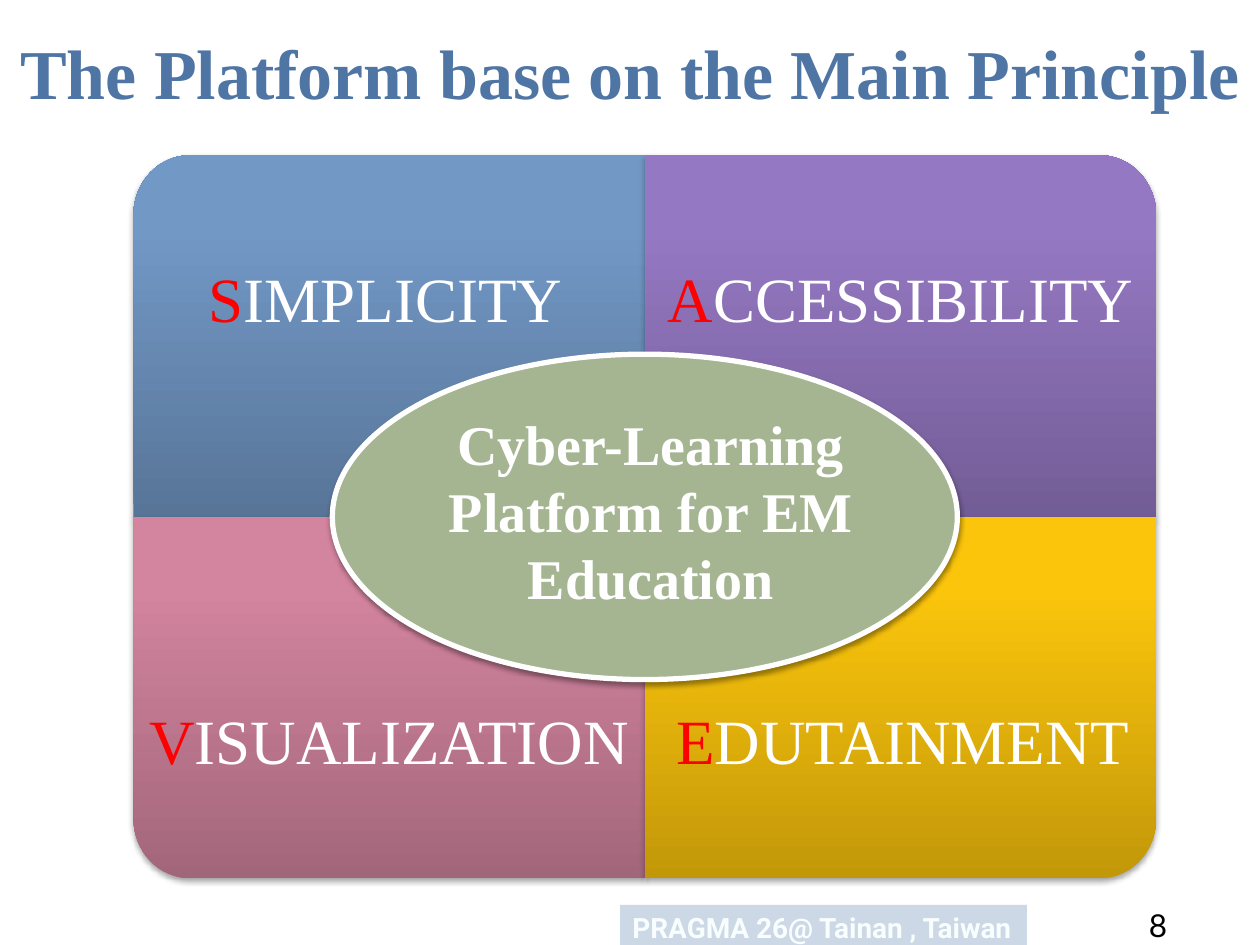
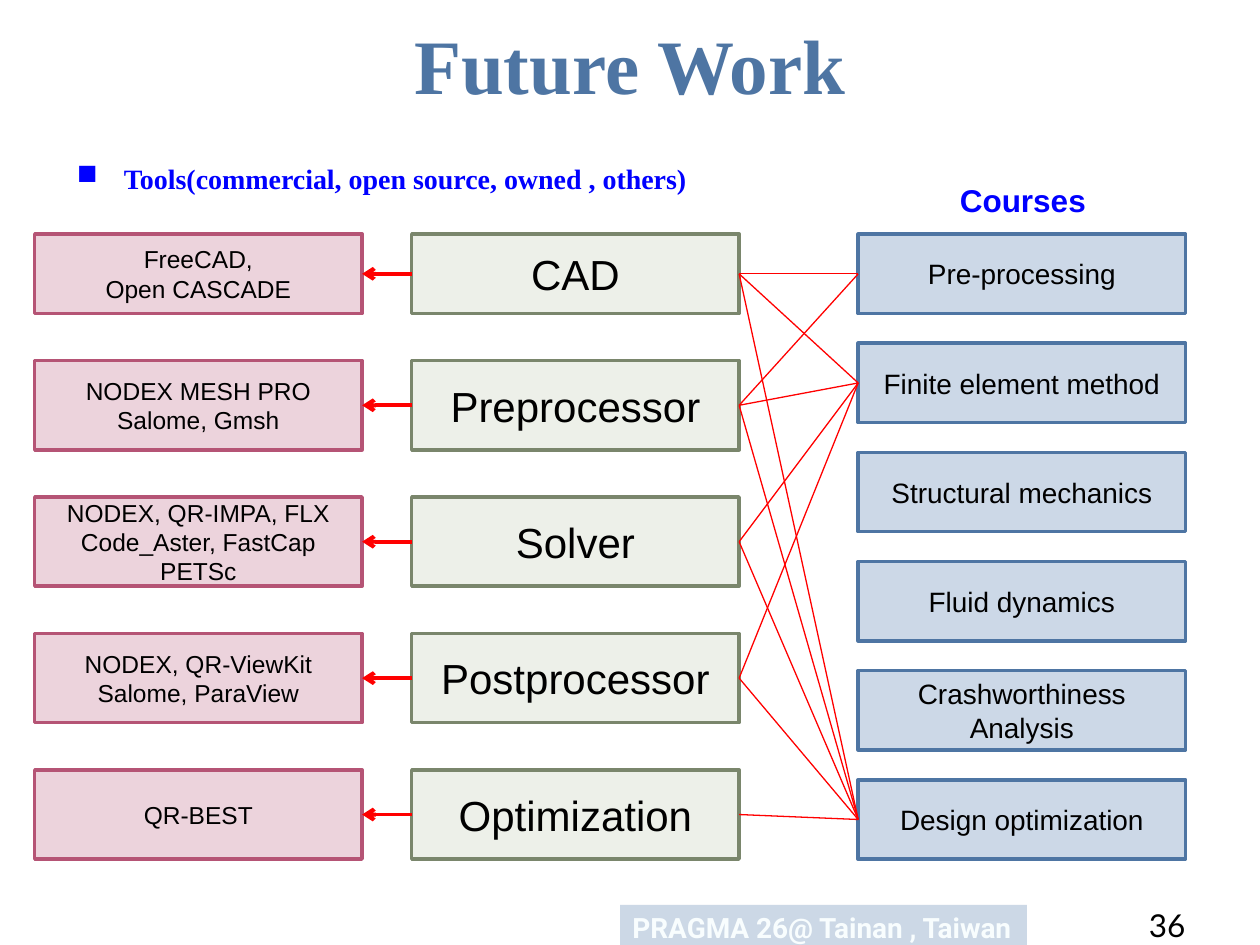
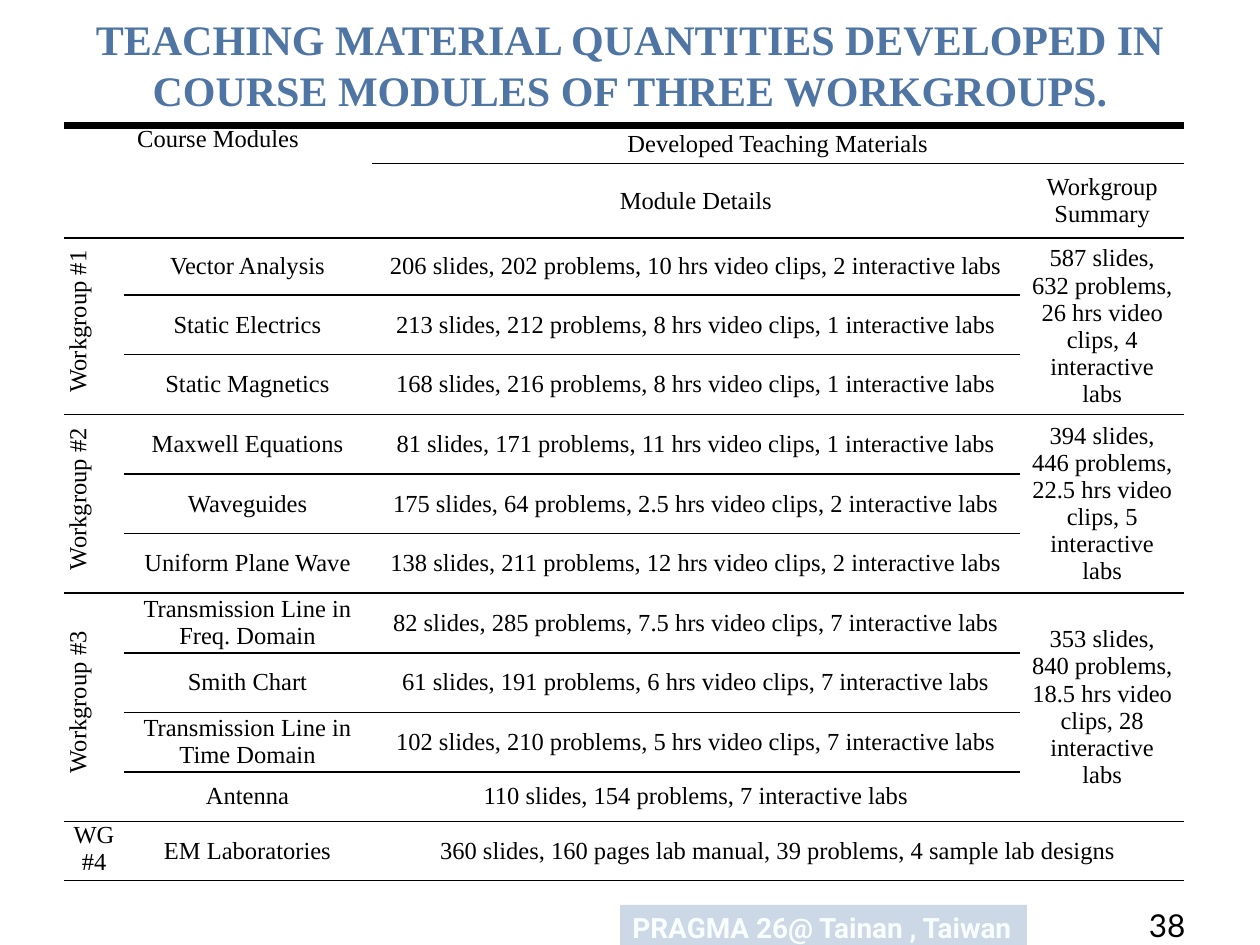
import math
from dataclasses import dataclass

from lxml import etree
from pptx import Presentation
from pptx import util as u
from pptx.dml.color import RGBColor
from pptx.enum import shapes, text
from pptx.oxml.ns import qn

Cm, Pt = u.Cm, u.Pt
CENTER, LEFT = text.PP_ALIGN.CENTER, text.PP_ALIGN.LEFT
MIDDLE, TOP = text.MSO_ANCHOR.MIDDLE, text.MSO_ANCHOR.TOP
LEFT_SITE, RIGHT_SITE = 1, 3


@dataclass(frozen=True)
class Theme:
    serif: str = "Times New Roman"
    sans: str = "Arial"
    footer_font: str = "Roboto"
    number_font: str = "Lato"

    black: str = "000000"
    white: str = "FFFFFF"
    red: str = "FF0000"
    blue: str = "0000FF"
    title: str = "4E75A3"
    band: str = "B3C5DA"
    band_text: str = "F8FDFE"
    oval: str = "A5B592"
    product: tuple = ("ECD3DC", "B55475")
    stage: tuple = ("EDF0E9", "7A866C")
    course: tuple = ("CCD8E7", "4E75A3")

    long_title: int = 40
    short_title: int = 44
    table_title: int = 24
    principle: int = 36
    core: int = 32
    stage_size: int = 24
    label: int = 18
    body: int = 16
    small: int = 14


THEME = Theme()

# word, horizontal and vertical direction from the centre, gradient (bottom, top),
# left edge, top edge and width of the label
PRINCIPLES = [
    ("SIMPLICITY", -1, -1, ("587598", "7298C6"), 3.66, 5.1, 8.23),
    ("ACCESSIBILITY", 1, -1, ("735D96", "9578C3"), 13, 5.1, 10.31),
    ("VISUALIZATION", -1, 1, ("A2667A", "D3849F"), 2.69, 14.02, 10.31),
    ("EDUTAINMENT", 1, 1, ("C29809", "FBC50C"), 13.1, 14.02, 10.2),
]

STAGES = [
    ("CAD", ["FreeCAD,", "Open CASCADE"]),
    ("Preprocessor", ["NODEX MESH PRO", "Salome, Gmsh"]),
    ("Solver", ["NODEX, QR-IMPA, FLX", "Code_Aster, FastCap", "PETSc"]),
    ("Postprocessor", ["NODEX, QR-ViewKit", "Salome, ParaView"]),
    ("Optimization", ["QR-BEST"]),
]

# course and the indexes of the stages it uses
COURSES = [
    ("Pre-processing", [0, 1]),
    ("Finite element method", [0, 1, 2, 3]),
    ("Structural mechanics", []),
    ("Fluid dynamics", []),
    ("Crashworthiness Analysis", []),
    ("Design optimization", [0, 1, 2, 3, 4]),
]

WORKGROUPS = [
    ("Workgroup #1", "587 slides, 632 problems, 26 hrs video clips, 4 interactive labs", [
        ("Vector Analysis", "206 slides, 202 problems, 10 hrs video clips, 2 interactive labs"),
        ("Static Electrics", "213 slides, 212 problems, 8 hrs video clips, 1 interactive labs"),
        ("Static Magnetics", "168 slides, 216 problems, 8 hrs video clips, 1 interactive labs"),
    ]),
    ("Workgroup #2", "394 slides, 446 problems, 22.5 hrs video clips, 5 interactive labs", [
        ("Maxwell Equations", "81 slides, 171 problems, 11 hrs video clips, 1 interactive labs"),
        ("Waveguides", "175 slides, 64 problems, 2.5 hrs video clips, 2 interactive labs"),
        ("Uniform Plane Wave", "138 slides, 211 problems, 12 hrs video clips, 2 interactive labs"),
    ]),
    ("Workgroup #3", "353 slides, 840 problems, 18.5 hrs video clips, 28 interactive labs", [
        ("Transmission Line in Freq. Domain",
         "82 slides, 285 problems, 7.5 hrs video clips, 7 interactive labs"),
        ("Smith Chart", "61 slides, 191 problems, 6 hrs video clips, 7 interactive labs"),
        ("Transmission Line in Time Domain",
         "102 slides, 210 problems, 5 hrs video clips, 7 interactive labs"),
        ("Antenna", "110 slides, 154 problems, 7 interactive labs"),
    ]),
]
COLUMN_WIDTHS = [1.19, 5, 13.08, 3.3]
ROW_HEIGHTS = [0.77, 1.5, 1.15, 1.2, 1, 1.2, 1.2, 1.2, 1.2, 1.2, 1.2, 1, 1.12]


def rgb(code):
    return RGBColor.from_string(code)


def set_values(target, values):
    for name, value in values.items():
        setattr(target, name, value)


def write(frame, paragraphs, size, font, color=THEME.black, bold=False, align=CENTER):
    """Fill a text frame; a paragraph is a string or a list of (string, colour)."""
    for index, content in enumerate(paragraphs):
        para = frame.add_paragraph() if index else frame.paragraphs[0]
        para.alignment = align
        spans = [(content, color)] if isinstance(content, str) else content
        for words, span_color in spans:
            span = para.add_run()
            span.text = words
            set_values(span.font, {"size": Pt(size), "name": font, "bold": bold})
            span.font.color.rgb = rgb(span_color)


def add_text(page, left, top, width, height, paragraphs, size, font,
             anchor=TOP, wrap=True, **style):
    box = page.shapes.add_textbox(Cm(left), Cm(top), Cm(width), Cm(height))
    set_values(box.text_frame, {"word_wrap": wrap, "vertical_anchor": anchor})
    write(box.text_frame, paragraphs, size, font, **style)
    return box


def paint(shape, fill, line=None, line_width=2):
    shape.shadow.inherit = False
    shape.fill.solid()
    shape.fill.fore_color.rgb = rgb(fill)
    if line:
        shape.line.color.rgb = rgb(line)
        shape.line.width = Pt(line_width)
    else:
        shape.line.fill.background()


def add_shadow(shape, opacity):
    shape.shadow.inherit = False
    effects = shape.element.spPr.find(qn("a:effectLst"))
    shadow = etree.SubElement(
        effects, qn("a:outerShdw"), blurRad=str(Pt(3.1)), dist=str(Pt(1.7)),
        dir="5400000", rotWithShape="0")
    color = etree.SubElement(shadow, qn("a:srgbClr"), val=THEME.black)
    etree.SubElement(color, qn("a:alpha"), val=str(opacity * 1000))


def add_box(page, left, top, height, paragraphs, size, colors):
    box = page.shapes.add_shape(
        shapes.MSO_SHAPE.RECTANGLE, Cm(left), Cm(top), Cm(6.6), Cm(height))
    paint(box, *colors)
    box.text_frame.vertical_anchor = MIDDLE
    write(box.text_frame, paragraphs, size, THEME.sans)
    return box


def join(page, start, end, width, arrow=False):
    """Connect the left side of start to the right side of end."""
    line = page.shapes.add_connector(shapes.MSO_CONNECTOR.STRAIGHT, 0, 0, 0, 0)
    line.begin_connect(start, LEFT_SITE)
    line.end_connect(end, RIGHT_SITE)
    line.line.color.rgb = rgb(THEME.red)
    line.line.width = Pt(width)
    properties = line.element.spPr
    if arrow:
        etree.SubElement(properties.find(qn("a:ln")), qn("a:tailEnd"), type="arrow")
    etree.SubElement(properties, qn("a:effectLst"))


def add_page(deck, title, title_size, number, left=1.27, width=22.86, height=1.93):
    """Add a slide with the shared title style, footer band and page number."""
    page = deck.slides.add_slide(deck.slide_layouts[6])
    band = page.shapes.add_shape(
        shapes.MSO_SHAPE.RECTANGLE, Cm(12.5), Cm(18.24), Cm(8.2), Cm(0.94))
    paint(band, THEME.band)
    color = next(band.element.spPr.iter(qn("a:srgbClr")))
    etree.SubElement(color, qn("a:alpha"), val="67000")
    band.text_frame.vertical_anchor = TOP
    write(band.text_frame, ["PRAGMA 26@ Tainan , Taiwan"], THEME.body,
          THEME.footer_font, color=THEME.band_text, bold=True, align=LEFT)
    add_text(page, left, 0.33, width, height, [title], title_size, THEME.serif,
             anchor=MIDDLE, color=THEME.title, bold=True)
    add_text(page, 22.91, 18.14, 2.4, 0.9, [str(number)], THEME.label,
             THEME.number_font, align=LEFT)
    return page


def add_quadrant(page, x_sign, y_sign, gradient):
    """Draw a quarter of the rounded panel, its outer corner an arc."""
    center_x, center_y, width, height = 13, 10.42, 10.31, 7.29
    radius_x, radius_y, steps = 1.14, 1.21, 16
    corner = []
    for step in range(steps + 1):
        angle = math.pi / 2 * step / steps
        corner.append((width - radius_x + radius_x * math.cos(angle),
                       height - radius_y + radius_y * math.sin(angle)))
    outline = [(Cm(center_x + x_sign * x), Cm(center_y + y_sign * y))
               for x, y in [(0, 0), (width, 0), *corner, (0, height)]]
    builder = page.shapes.build_freeform(*outline[0])
    builder.add_line_segments(outline[1:], close=True)
    quadrant = builder.convert_to_shape()
    quadrant.fill.gradient()
    quadrant.fill.gradient_angle = 90
    for stop, color, position in zip(quadrant.fill.gradient_stops, gradient, (0, 0.8)):
        stop.color.rgb = rgb(color)
        stop.position = position
    quadrant.line.fill.background()
    add_shadow(quadrant, 35)


def add_principles(deck):
    page = add_page(deck, "The Platform base on the Main Principle", THEME.long_title, 8,
                    left=0, width=25.4, height=2.21)
    for _, x_sign, y_sign, gradient, *_ in PRINCIPLES:
        add_quadrant(page, x_sign, y_sign, gradient)
    oval = page.shapes.add_shape(
        shapes.MSO_SHAPE.OVAL, Cm(6.7), Cm(7.14), Cm(12.6), Cm(6.56))
    paint(oval, THEME.oval, THEME.white, 3)
    add_shadow(oval, 38)
    for word, _, _, _, left, top, width in PRINCIPLES:
        spans = [(word[0], THEME.red), (word[1:], THEME.white)]
        add_text(page, left, top, width, 1.8, [spans], THEME.principle, THEME.serif)
    add_text(page, 8.13, 8.13, 9.98, 4.37, ["Cyber-Learning Platform for EM Education"],
             THEME.core, THEME.serif, color=THEME.white, bold=True)


def add_future_work(deck):
    page = add_page(deck, "Future Work", THEME.short_title, 36)
    heading = add_text(
        page, 1.3, 3.13, 15, 1, ["Tools(commercial, open source, owned , others)"],
        THEME.body, THEME.serif, color=THEME.blue, bold=True, align=LEFT)
    properties = heading.text_frame.paragraphs[0]._p.get_or_add_pPr()
    indent = Cm(0.95)
    properties.set("marL", str(indent))
    properties.set("indent", str(-indent))
    etree.SubElement(properties, qn("a:buChar"), char="■")
    add_text(page, 19.1, 3.53, 3.07, 1.02, ["Courses"], THEME.label, THEME.sans,
             wrap=False, color=THEME.blue, bold=True, align=LEFT)

    stage_boxes = []
    for index, (stage, products) in enumerate(STAGES):
        height = 1.8 if index else 1.6
        top = 6.32 + 2.75 * index - height
        stage_box = add_box(page, 8.3, top, height, [stage], THEME.stage_size, THEME.stage)
        product_box = add_box(page, 0.7, top, height, products, THEME.small, THEME.product)
        join(page, stage_box, product_box, 2.25, arrow=True)
        stage_boxes.append(stage_box)
    for index, (course, used_stages) in enumerate(COURSES):
        course_box = add_box(page, 17.3, 4.72 + 2.2 * index, 1.6, [course],
                             THEME.body, THEME.course)
        for stage_index in used_stages:
            join(page, course_box, stage_boxes[stage_index], 0.75)


def add_rule(cell, side, width):
    properties = cell._tc.get_or_add_tcPr()
    rule = etree.Element(qn(side), w=str(Pt(width)))
    fill = etree.SubElement(rule, qn("a:solidFill"))
    etree.SubElement(fill, qn("a:srgbClr"), val=THEME.black)
    properties.insert(0, rule)


def fill_block(table, row, column, words, rows=1, columns=1, anchor=MIDDLE, upright=False):
    """Write into a cell, merged over rows and columns, with a rule below it."""
    cell = table.cell(row, column)
    last_row = row + rows - 1
    if rows * columns > 1:
        cell.merge(table.cell(last_row, column + columns - 1))
    set_values(cell, {"vertical_anchor": anchor, "margin_left": Cm(0.18),
                      "margin_right": Cm(0.18), "margin_top": 0, "margin_bottom": 0})
    write(cell.text_frame, [words], THEME.small, THEME.serif)
    if upright:
        cell._tc.get_or_add_tcPr().set("vert", "vert270")
        cell.text_frame.paragraphs[0]._p.get_or_add_pPr().set("marL", str(Cm(0.2)))
    ruled = {(row, column)} | {(last_row, column + step) for step in range(columns)}
    for position in ruled:
        add_rule(table.cell(*position), "a:lnB", 1)


def add_materials(deck):
    page = add_page(
        deck, "TEACHING MATERIAL QUANTITIES DEVELOPED IN COURSE MODULES OF THREE WORKGROUPS.",
        THEME.table_title, 38)
    frame = page.shapes.add_table(
        len(ROW_HEIGHTS), len(COLUMN_WIDTHS), Cm(1.3), Cm(2.53),
        Cm(sum(COLUMN_WIDTHS)), Cm(sum(ROW_HEIGHTS)))
    table = frame.table
    set_values(table, {"first_row": False, "horz_banding": False})
    style = next(frame.element.iter(qn("a:tableStyleId")))
    style.text = "{2D5ABB26-0587-4C30-8999-92F81FD0307C}"
    for column, width in zip(table.columns, COLUMN_WIDTHS):
        column.width = Cm(width)
    for row, height in zip(table.rows, ROW_HEIGHTS):
        row.height = Cm(height)
    for cell in table.iter_cells():
        cell.fill.background()

    fill_block(table, 0, 0, "Course Modules", rows=2, columns=2, anchor=TOP)
    fill_block(table, 0, 2, "Developed Teaching Materials", columns=2)
    fill_block(table, 1, 2, "Module Details")
    fill_block(table, 1, 3, "Workgroup Summary")
    row = 2
    for group, summary, modules in WORKGROUPS:
        fill_block(table, row, 0, group, rows=len(modules), anchor=TOP, upright=True)
        fill_block(table, row, 3, summary, rows=len(modules))
        for module, details in modules:
            fill_block(table, row, 1, module)
            fill_block(table, row, 2, details)
            row += 1
    fill_block(table, row, 0, "WG #4", anchor=TOP)
    fill_block(table, row, 1, "EM Laboratories")
    fill_block(table, row, 2,
               "360 slides, 160 pages lab manual, 39 problems, 4 sample lab designs", columns=2)
    for column in range(len(COLUMN_WIDTHS)):
        add_rule(table.cell(0, column), "a:lnT", 4.5)


def main():
    deck = Presentation()
    set_values(deck, {"slide_width": Cm(25.4), "slide_height": Cm(19.05)})
    add_principles(deck)
    add_future_work(deck)
    add_materials(deck)
    deck.save("out.pptx")


if __name__ == "__main__":
    main()
